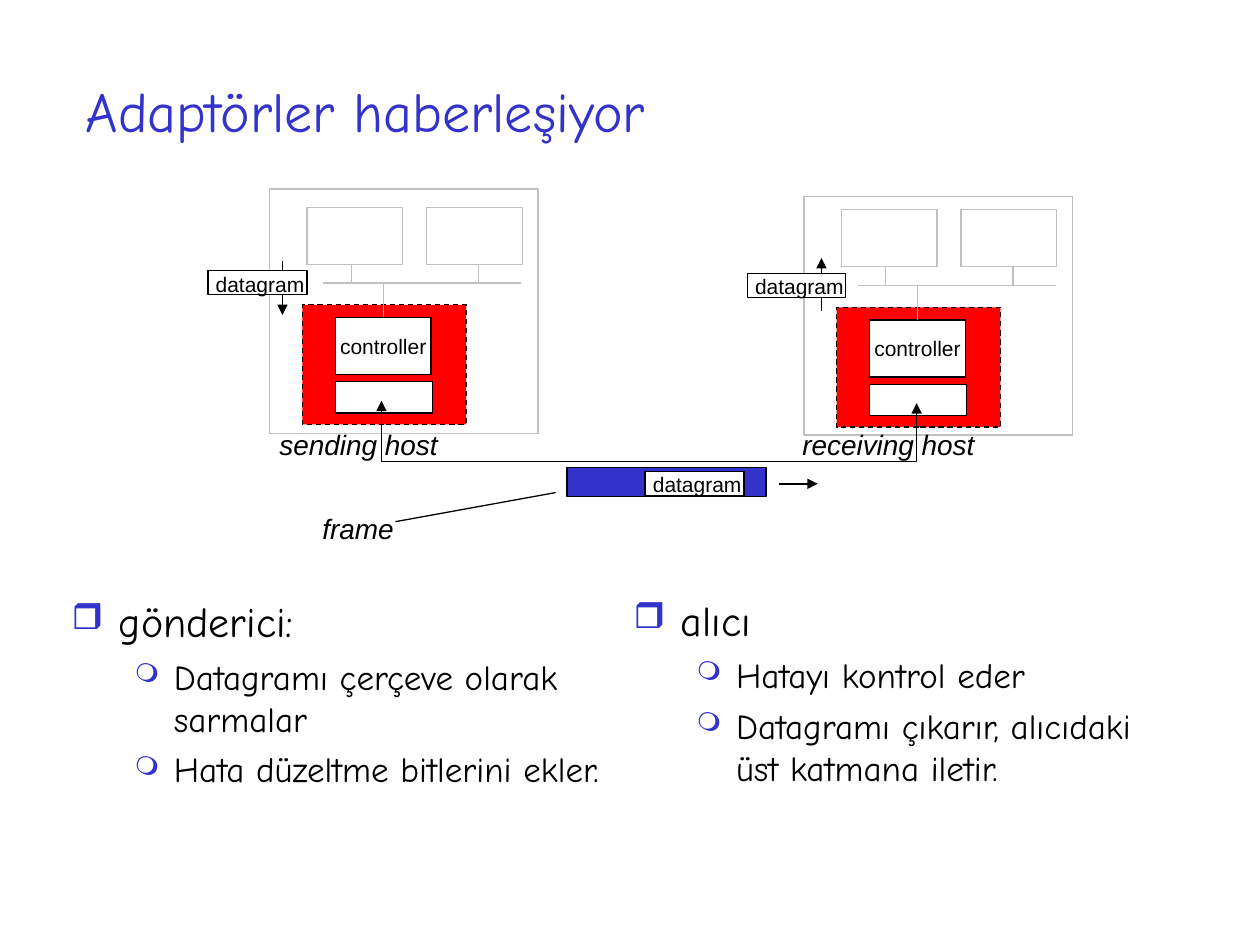
from dataclasses import dataclass

import lxml.etree
import pptx
import pptx.dml.color
import pptx.enum.dml
import pptx.enum.shapes
import pptx.enum.text
import pptx.oxml.ns
import pptx.util

Pt = pptx.util.Pt
RGBColor = pptx.dml.color.RGBColor
qn = pptx.oxml.ns.qn
MSO_ANCHOR = pptx.enum.text.MSO_ANCHOR
PP_ALIGN = pptx.enum.text.PP_ALIGN

BLUE = RGBColor(0x33, 0x33, 0xCC)
RED = RGBColor(0xFF, 0x00, 0x00)
GRAY = RGBColor(0xC0, 0xC0, 0xC0)
BLACK = RGBColor(0x00, 0x00, 0x00)
WHITE = RGBColor(0xFF, 0xFF, 0xFF)
DIAGRAM_FONT = "Arial"
TEXT_FONT = "Comic Neue"


@dataclass(frozen=True)
class Box:
    left: float
    top: float
    width: float
    height: float

    def lengths(self) -> tuple:
        return Pt(self.left), Pt(self.top), Pt(self.width), Pt(self.height)


@dataclass(frozen=True)
class Host:
    case: Box
    adapter_left: float
    adapter_top: float


@dataclass(frozen=True)
class Label:
    text: str
    box: Box
    size: float
    italic: bool


@dataclass(frozen=True)
class Level:
    size: float
    indent: float
    hanging: float
    space_before: float
    bullet: str
    bullet_percent: int


@dataclass(frozen=True)
class BulletList:
    box: Box
    heading: str
    items: tuple[str, ...]


HOSTS = (
    Host(Box(154, 108, 153.4, 139.7), 172.8, 174.2),
    Host(Box(459.4, 112.4, 153.4, 136.2), 478.1, 175.7),
)
DATAGRAMS = (Box(118.8, 154.8, 56.6, 13.6), Box(427, 156.4, 56.2, 13.6), Box(368.6, 269.4, 56.6, 13.6))
LABELS = (
    Label("sending host", Box(152.6, 241, 104.4, 26.6), 16, True),
    Label("receiving host", Box(451.4, 240.8, 113, 26.6), 16, True),
    Label("frame", Box(177.1, 289, 54.7, 26.6), 16, True),
)
HEADING = Level(24, 27, 27, 6, "❒", 85)
ITEM = Level(20, 58.5, 22.5, 5, "❍", 75)
LISTS = (
    BulletList(
        Box(33.8, 337, 320.4, 152.6),
        "gönderici:",
        ("Datagramı çerçeve olarak sarmalar", "Hata düzeltme bitlerini ekler."),
    ),
    BulletList(
        Box(355, 336.2, 321.8, 145.4),
        "alıcı",
        ("Hatayı kontrol eder", "Datagramı çıkarır, alıcıdaki üst katmana iletir."),
    ),
)


def add_run(paragraph, text: str, font: str, size: float, color: RGBColor, italic: bool = False) -> None:
    run = paragraph.add_run()
    run.text = text
    run.font.name = font
    run.font.size = Pt(size)
    run.font.color.rgb = color
    run.font.italic = italic


def style_line(line, color: RGBColor, head: bool = False, tail: bool = False) -> None:
    line.color.rgb = color
    line.width = Pt(0.75)
    for wanted, tag in ((head, "a:headEnd"), (tail, "a:tailEnd")):
        if wanted:
            lxml.etree.SubElement(line._get_or_add_ln(), qn(tag), type="triangle")


def add_rectangle(slide, box: Box, fill: RGBColor = WHITE, outline: RGBColor = BLACK):
    shape = slide.shapes.add_shape(pptx.enum.shapes.MSO_SHAPE.RECTANGLE, *box.lengths())
    shape.shadow.inherit = False
    shape.fill.solid()
    shape.fill.fore_color.rgb = fill
    style_line(shape.line, outline)
    return shape


def add_line(slide, start: tuple[float, float], end: tuple[float, float],
             color: RGBColor = BLACK, head: bool = False, tail: bool = False):
    connector = slide.shapes.add_connector(
        pptx.enum.shapes.MSO_CONNECTOR.STRAIGHT, *(Pt(value) for value in start + end))
    style_line(connector.line, color, head, tail)
    lxml.etree.SubElement(connector._element.spPr, qn("a:effectLst"))
    return connector


def add_label(slide, label: Label) -> None:
    frame = slide.shapes.add_textbox(*label.box.lengths()).text_frame
    frame.word_wrap = True
    frame.margin_right = Pt(0)
    add_run(frame.paragraphs[0], label.text, DIAGRAM_FONT, label.size, BLACK, label.italic)


def add_datagram(slide, box: Box) -> None:
    add_rectangle(slide, box)
    add_label(slide, Label("datagram", Box(box.left - 2.6, box.top - 3.4, 64.8, 21.6), 12, False))


def add_host(slide, host: Host) -> None:
    left, top = host.adapter_left, host.adapter_top
    bus = top - 12.4
    add_rectangle(slide, host.case, outline=GRAY)
    adapter = add_rectangle(slide, Box(left, top, 93.6, 68.4), RED)
    adapter.line.dash_style = pptx.enum.dml.MSO_LINE.DASH
    add_rectangle(slide, Box(left + 18.8, top + 44, 55.6, 17.8))

    controller = add_rectangle(slide, Box(left + 18.8, top + 7.2, 54.8, 32.6))
    frame = controller.text_frame
    frame.word_wrap = False
    frame.vertical_anchor = MSO_ANCHOR.MIDDLE
    frame.paragraphs[0].alignment = PP_ALIGN.CENTER
    add_run(frame.paragraphs[0], "controller", DIAGRAM_FONT, 12, BLACK)

    add_line(slide, (left + 12, bus), (left + 125.2, bus), GRAY)
    stem = left + 46.2
    add_line(slide, (stem, bus), (stem, top + 7.2), GRAY).end_connect(controller, 0)
    for unit, tap in ((2.6, 28), (71, 100.8)):
        add_rectangle(slide, Box(left + unit, top - 55.8, 54.8, 32.6), outline=GRAY)
        add_line(slide, (left + tap, bus), (left + tap, top - 23), GRAY)


def add_link(slide) -> None:
    builder = slide.shapes.build_freeform(Pt(218), Pt(229))
    builder.add_line_segments(
        [(Pt(x), Pt(y)) for x, y in ((218, 263.6), (523.8, 263.6), (523.8, 230.4))], close=False)
    link = builder.convert_to_shape()
    link.shadow.inherit = False
    link.fill.background()
    style_line(link.line, BLACK, head=True, tail=True)


def add_bullet(paragraph, text: str, level: Level) -> None:
    paragraph.space_before = Pt(level.space_before)
    properties = paragraph._p.get_or_add_pPr()
    properties.set("marL", str(Pt(level.indent)))
    properties.set("indent", str(-Pt(level.hanging)))
    color = lxml.etree.SubElement(properties, qn("a:buClr"))
    lxml.etree.SubElement(color, qn("a:srgbClr"), val=str(BLUE))
    lxml.etree.SubElement(properties, qn("a:buSzPct"), val=str(level.bullet_percent * 1000))
    lxml.etree.SubElement(properties, qn("a:buChar"), char=level.bullet)
    add_run(paragraph, text, TEXT_FONT, level.size, BLACK)


def add_bullet_list(slide, content: BulletList) -> None:
    frame = slide.shapes.add_textbox(*content.box.lengths()).text_frame
    frame.word_wrap = True
    add_bullet(frame.paragraphs[0], content.heading, HEADING)
    for item in content.items:
        add_bullet(frame.add_paragraph(), item, ITEM)


def add_title(slide, text: str, box: Box) -> None:
    frame = slide.shapes.add_textbox(*box.lengths()).text_frame
    frame.word_wrap = True
    frame.vertical_anchor = MSO_ANCHOR.MIDDLE
    add_run(frame.paragraphs[0], text, TEXT_FONT, 32, BLUE)


def main() -> None:
    presentation = pptx.Presentation()
    presentation.slide_width, presentation.slide_height = Pt(720), Pt(540)
    slide = presentation.slides.add_slide(presentation.slide_layouts[6])
    add_title(slide, "Adaptörler haberleşiyor", Box(41.8, 18, 612, 90))
    for content in LISTS:
        add_bullet_list(slide, content)
    add_rectangle(slide, Box(324, 267.1, 113.8, 16.6), BLUE)
    for host in HOSTS:
        add_host(slide, host)
    add_line(slide, (161.4, 149), (161.4, 180), tail=True)
    add_line(slide, (469.4, 147.4), (469.4, 178), head=True)
    for datagram in DATAGRAMS:
        add_datagram(slide, datagram)
    for label in LABELS:
        add_label(slide, label)
    add_link(slide)
    add_line(slide, (445, 276.5), (467.3, 276.5), tail=True)
    add_line(slide, (226, 298.1), (317.5, 281.5))
    presentation.save("out.pptx")


if __name__ == "__main__":
    main()
